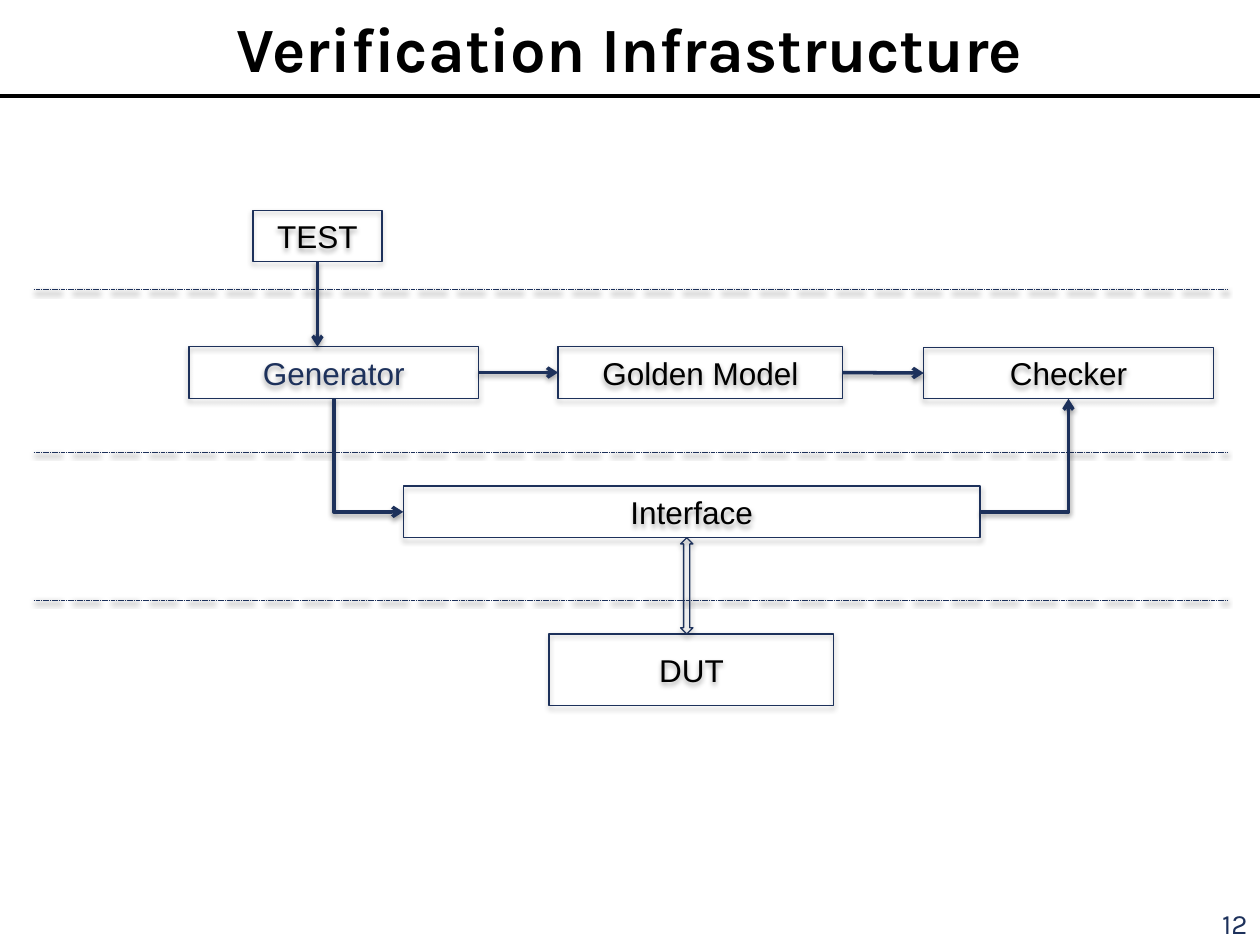
from dataclasses import dataclass

from lxml.etree import SubElement
from pptx import Presentation
from pptx.dml.color import RGBColor
from pptx.enum.dml import MSO_LINE
from pptx.enum.shapes import MSO_CONNECTOR, MSO_SHAPE
from pptx.enum.text import MSO_ANCHOR, PP_ALIGN
from pptx.oxml.ns import qn
from pptx.util import Cm, Pt

BOTTOM, LEFT, RIGHT = 2, 1, 3


@dataclass(frozen=True)
class Theme:
    navy: RGBColor = RGBColor(0x1D, 0x31, 0x5B)
    black: RGBColor = RGBColor(0, 0, 0)
    heading_font: str = "Karla"
    label_font: str = "Arial"
    title_size: int = 36
    label_size: int = 18
    number_size: int = 16
    outline: float = 0.75
    stroke: float = 2
    hairline: float = 0.25


THEME = Theme()


@dataclass(frozen=True)
class Box:
    left: float
    top: float
    width: float
    height: float

    def x(self, offset):
        return Cm(self.left + offset)

    def y(self, offset):
        return Cm(self.top + offset)


def add_effects(item, distance=None, opacity=0):
    properties = item._element.spPr
    effects = properties.find(qn("a:effectLst"))
    if effects is None:
        effects = SubElement(properties, qn("a:effectLst"))
    if distance is None:
        return
    shadow = SubElement(effects, qn("a:outerShdw"), blurRad=str(Pt(3.1)),
                        dist=str(Pt(distance)), dir="5400000", rotWithShape="0")
    color = SubElement(shadow, qn("a:srgbClr"), val=str(THEME.black))
    SubElement(color, qn("a:alpha"), val=str(opacity * 1000))


def write_text(frame, text, font, size, color, align, bold=False):
    frame.word_wrap = True
    para = frame.paragraphs[0]
    para.text = text
    para.alignment = align
    para.font.name = font
    para.font.size = Pt(size)
    para.font.color.rgb = color
    para.font.bold = bold
    return para


def add_outlined(page, kind, left, top, width, height):
    shape = page.shapes.add_shape(kind, left, top, width, height)
    shape.fill.background()
    shape.line.color.rgb = THEME.navy
    shape.line.width = Pt(THEME.outline)
    shape.shadow.inherit = False
    add_effects(shape, 1.8, 35)
    return shape


def add_block(page, box, text, left, top, width, height=1.04, color=THEME.black):
    shape = add_outlined(page, MSO_SHAPE.RECTANGLE, box.x(left), box.y(top),
                         Cm(width), Cm(height))
    shape.text_frame.vertical_anchor = MSO_ANCHOR.MIDDLE
    write_text(shape.text_frame, text, THEME.label_font, THEME.label_size,
               color, PP_ALIGN.CENTER)
    return shape


def add_line(page, start, end, color, width, kind=MSO_CONNECTOR.STRAIGHT):
    line = page.shapes.add_connector(kind, *start, *end)
    line.line.color.rgb = color
    line.line.width = Pt(width)
    return line


def add_arrow(page, start, end, kind=MSO_CONNECTOR.STRAIGHT):
    arrow = add_line(page, start, end, THEME.navy, THEME.stroke, kind)
    SubElement(arrow.line._get_or_add_ln(), qn("a:tailEnd"), type="arrow")
    add_effects(arrow, 1.6, 38)
    return arrow


def add_elbow(page, start, end, down_first=False):
    if down_first:
        center_x, center_y = (start[0] + end[0]) // 2, (start[1] + end[1]) // 2
        half_x, half_y = (end[0] - start[0]) // 2, (end[1] - start[1]) // 2
        start = center_x + half_y, center_y - half_x
        end = center_x - half_y, center_y + half_x
    elbow = add_arrow(page, start, end, MSO_CONNECTOR.ELBOW)
    properties = elbow._element.spPr
    properties.find(qn("a:prstGeom")).set("prst", "bentConnector2")
    if down_first:
        properties.find(qn("a:xfrm")).set("rot", str(270 * 60000))


def side_point(shape, side):
    middle_x = shape.left + shape.width // 2
    middle_y = shape.top + shape.height // 2
    return {
        LEFT: (shape.left, middle_y),
        RIGHT: (shape.left + shape.width, middle_y),
        BOTTOM: (middle_x, shape.top + shape.height),
    }[side]


def join_across(page, source, target):
    arrow = add_arrow(page, side_point(source, RIGHT), side_point(target, LEFT))
    arrow.begin_connect(source, RIGHT)
    arrow.end_connect(target, LEFT)


def add_header(page, box, title):
    bottom = box.y(box.height)
    rule = add_line(page, (box.x(0), bottom), (box.x(box.width), bottom),
                    THEME.black, THEME.stroke)
    add_effects(rule)
    heading = page.shapes.add_textbox(box.x(0), box.y(0), Cm(box.width), Cm(1.9))
    heading.text_frame.vertical_anchor = MSO_ANCHOR.MIDDLE
    write_text(heading.text_frame, title, THEME.heading_font, THEME.title_size,
               THEME.black, PP_ALIGN.CENTER, bold=True)


def add_page_number(page, box, number):
    label = page.shapes.add_textbox(box.x(0), box.y(0), Cm(box.width), Cm(box.height))
    para = write_text(label.text_frame, number, THEME.heading_font,
                      THEME.number_size, THEME.navy, PP_ALIGN.RIGHT)
    para.line_spacing = 0.8


def add_diagram(page, box):
    for height in (1.6, 4.88, 7.85):
        divider = add_line(page, (box.x(0), box.y(height)),
                           (box.x(box.width), box.y(height)),
                           THEME.navy, THEME.hairline)
        divider.line.dash_style = MSO_LINE.SQUARE_DOT
        add_effects(divider, 1.6, 38)

    test = add_block(page, box, "TEST", 4.42, 0, 2.6)
    generator = add_block(page, box, "Generator", 3.13, 2.75, 5.84, color=THEME.navy)
    golden_model = add_block(page, box, "Golden Model", 10.57, 2.75, 5.74)
    checker = add_block(page, box, "Checker", 17.94, 2.76, 5.84)
    interface = add_block(page, box, "Interface", 7.45, 5.56, 11.63)
    add_block(page, box, "DUT", 10.39, 8.54, 5.74, 1.45)

    test_bottom = side_point(test, BOTTOM)
    stimulus = add_arrow(page, test_bottom, (test_bottom[0], generator.top))
    stimulus.begin_connect(test, BOTTOM)
    join_across(page, generator, golden_model)
    join_across(page, golden_model, checker)
    add_elbow(page, side_point(generator, BOTTOM), side_point(interface, LEFT),
              down_first=True)
    add_elbow(page, side_point(interface, RIGHT), side_point(checker, BOTTOM))
    add_outlined(page, MSO_SHAPE.UP_DOWN_ARROW, box.x(13.04), box.y(6.6),
                 Cm(0.25), Cm(1.94))


def main():
    deck = Presentation()
    deck.slide_width, deck.slide_height = Cm(25.4), Cm(19.05)
    page = deck.slides.add_slide(deck.slide_layouts[6])
    add_header(page, Box(0, 0, 25.4, 1.93), "Verification Infrastructure")
    add_diagram(page, Box(0.68, 4.24, 24.06, 9.99))
    add_page_number(page, Box(23.3, 18.29, 2.1, 0.76), "12")
    deck.save("out.pptx")


if __name__ == "__main__":
    main()
